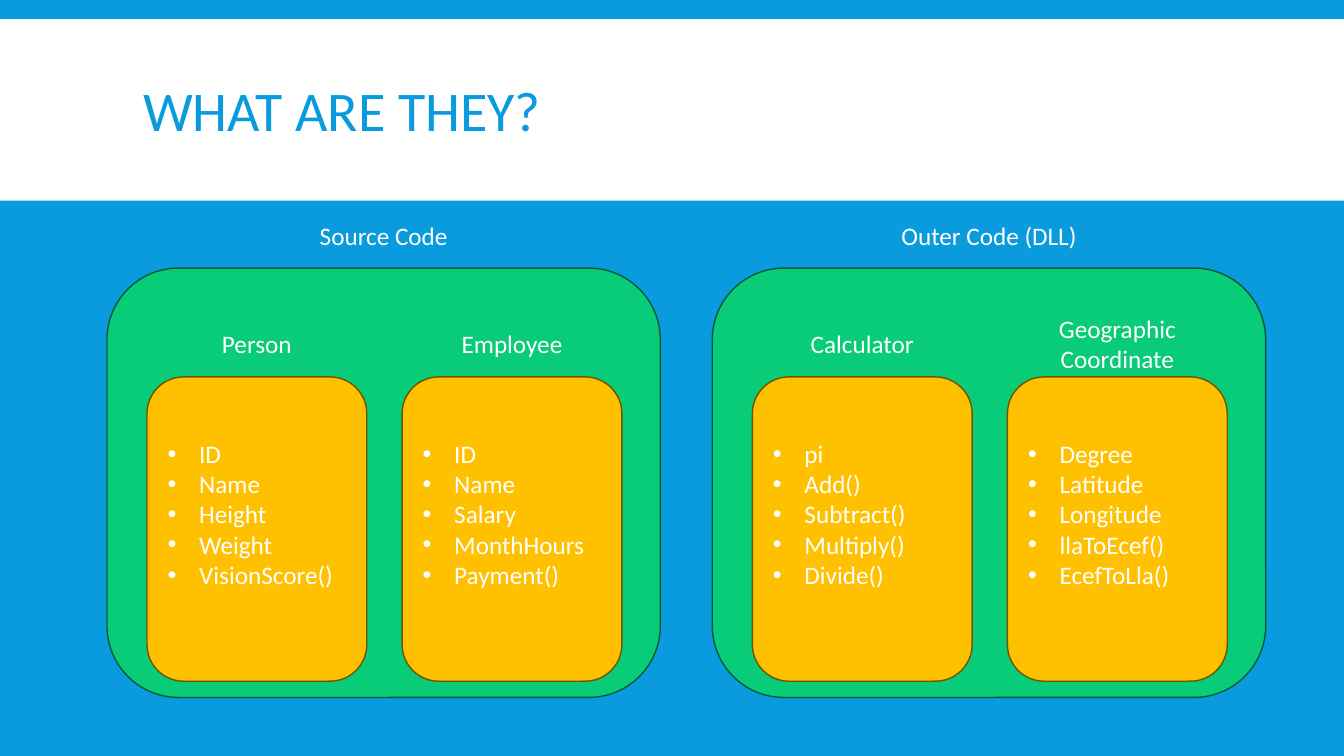
from pptx import Presentation
from pptx.dml.color import RGBColor
from pptx.enum.shapes import MSO_SHAPE
from pptx.enum.text import MSO_ANCHOR, PP_ALIGN
from pptx.util import Pt
from lxml.etree import SubElement
from pptx.oxml.ns import qn


def paint(form, fill, line=None):
    form.shadow.inherit = False
    form.fill.solid()
    form.fill.fore_color.rgb = RGBColor.from_string(fill)
    if line:
        form.line.color.rgb = RGBColor.from_string(line)
        form.line.width = Pt(1)
    else:
        form.line.fill.background()


def write(form, text, size=18, color="FFFFFF", align=PP_ALIGN.CENTER,
          anchor=MSO_ANCHOR.TOP, space=None, bullet=False):
    frame = form.text_frame
    frame.word_wrap = True
    frame.vertical_anchor = anchor
    frame.text = text
    for para in frame.paragraphs:
        para.alignment = align
        para.line_spacing = space
        font = para.runs[0].font
        font.size = Pt(size)
        font.name = "Calibri"
        font.color.rgb = RGBColor.from_string(color)
        if bullet:
            props = para._p.get_or_add_pPr()
            props.set("marL", str(Pt(22.5)))
            props.set("indent", str(-Pt(22.5)))
            SubElement(props, qn("a:buFont")).set("typeface", "Arial")
            SubElement(props, qn("a:buChar")).set("char", "•")


deck = Presentation()
deck.slide_width, deck.slide_height = Pt(960), Pt(540)
slide = deck.slides.add_slide(deck.slide_layouts[5])
slide.background.fill.solid()
slide.background.fill.fore_color.rgb = RGBColor.from_string("099BDD")
shapes = slide.shapes

band = shapes.add_shape(MSO_SHAPE.RECTANGLE, 0, Pt(13.7), Pt(960), Pt(129.6))
paint(band, "FFFFFF")
title = shapes.title
title.left, title.top, title.width, title.height = Pt(95), Pt(22.3), Pt(770.4), Pt(118.8)
write(title, "WHAT ARE THEY?", size=40, color="099BDD", align=PP_ALIGN.LEFT,
      anchor=MSO_ANCHOR.MIDDLE, space=0.85)
title.element.addprevious(band.element)

groups = [
    ("Source Code", [
        ("Person", 29, ["ID", "Name", "Height", "Weight", "VisionScore()"]),
        ("Employee", 29, ["ID", "Name", "Salary", "MonthHours", "Payment()"]),
    ]),
    ("Outer Code (DLL)", [
        ("Calculator", 29, ["pi", "Add()", "Subtract()", "Multiply()", "Divide()"]),
        ("Geographic Coordinate", 51,
         ["Degree", "Latitude", "Longitude", "llaToEcef()", "EcefToLla()"]),
    ]),
]

for col, (name, kinds) in enumerate(groups):
    left = 76.4 + col * 432.4
    panel = shapes.add_shape(MSO_SHAPE.ROUNDED_RECTANGLE, Pt(left), Pt(191.5), Pt(395.3), Pt(306.7))
    paint(panel, "08CC78", "045935")
    head = shapes.add_textbox(Pt(left + 107.3), Pt(154.1), Pt(180.7), Pt(29))
    write(head, name)
    for num, (kind, high, items) in enumerate(kinds):
        x = left + 28.6 + num * 182.2
        card = shapes.add_shape(MSO_SHAPE.ROUNDED_RECTANGLE, Pt(x), Pt(269.2), Pt(157), Pt(217.4))
        paint(card, "FFC000", "705400")
        write(card, "\n".join(items), align=PP_ALIGN.JUSTIFY,
              anchor=MSO_ANCHOR.MIDDLE, bullet=True)
        card.text_frame.margin_bottom = Pt(25.2)
        label = shapes.add_textbox(Pt(x), Pt(245.7 - high / 2), Pt(157), Pt(high))
        write(label, kind)

deck.save("out.pptx")
